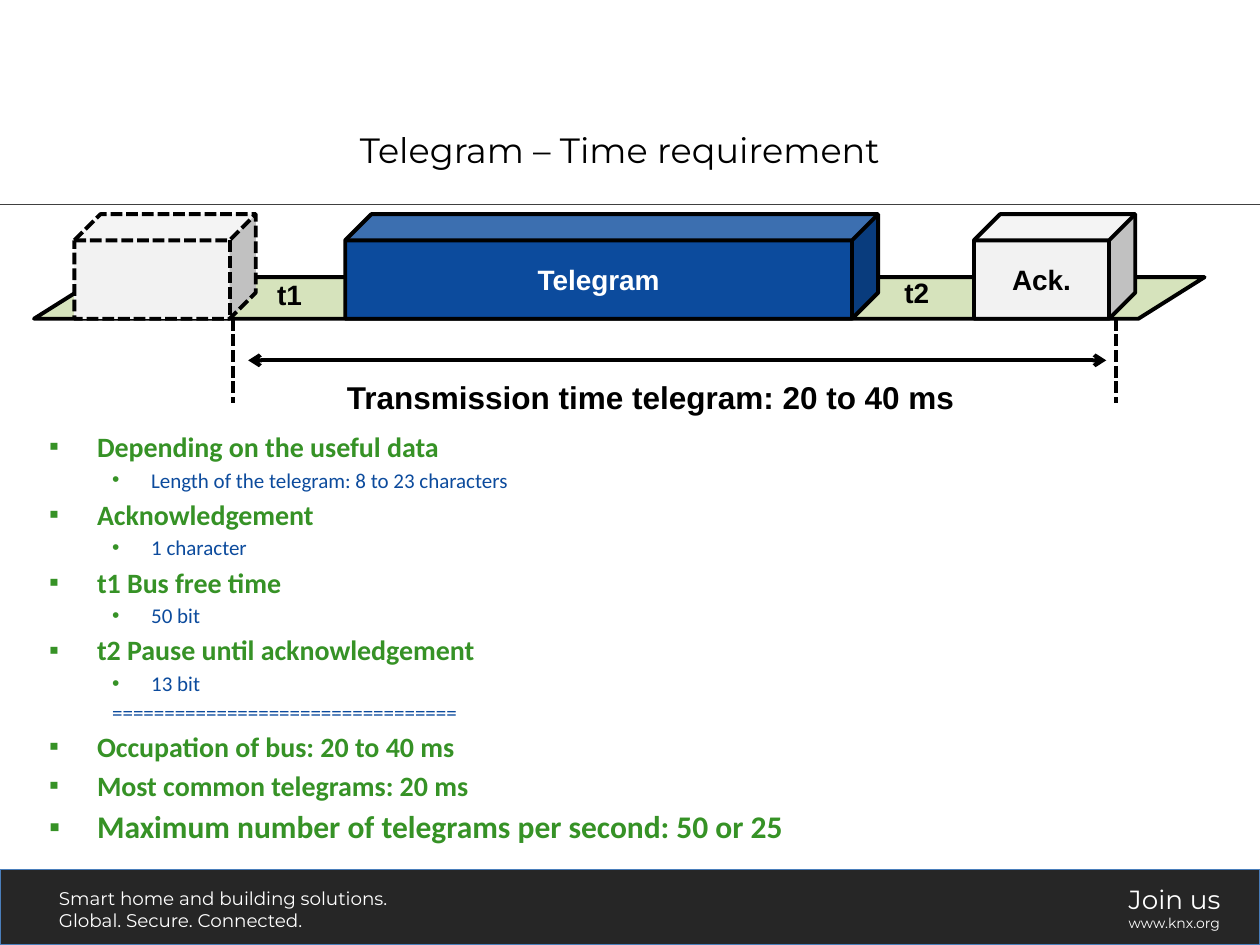
from dataclasses import dataclass

from lxml.etree import SubElement
from pptx import Presentation
from pptx.dml.color import RGBColor
from pptx.enum.dml import MSO_LINE
from pptx.enum.shapes import MSO_CONNECTOR, MSO_SHAPE
from pptx.enum.text import MSO_ANCHOR, MSO_AUTO_SIZE, PP_ALIGN
from pptx.oxml.ns import qn
from pptx.util import Inches, Pt


@dataclass(frozen=True)
class Theme:
    black: str = "000000"
    white: str = "FFFFFF"
    rule: str = "404040"
    footer: str = "262626"
    footer_edge: str = "4A7EBB"
    bus: str = "D6E3BC"
    pale: str = "F2F2F2"
    blue: str = "0C4B9D"
    green: str = "369226"
    brand_font: str = "Montserrat"
    diagram_font: str = "Arial"
    list_font: str = "Calibri"
    title_size: float = 20
    duration_size: float = 18
    label_size: float = 16
    topic_size: float = 16
    emphasis_size: float = 18
    detail_size: float = 12
    slogan_size: float = 10.5
    join_size: float = 15
    address_size: float = 8
    thin: float = 0.5
    edge: float = 0.75
    thick: float = 2.25


THEME = Theme()
TOPIC, DETAIL, SEPARATOR, EMPHASIS = range(4)
REQUIREMENTS = [
    (TOPIC, "Depending on the useful data"),
    (DETAIL, "Length of the telegram: 8 to 23 characters"),
    (TOPIC, "Acknowledgement"),
    (DETAIL, "1 character"),
    (TOPIC, "t1 Bus free time"),
    (DETAIL, "50 bit"),
    (TOPIC, "t2 Pause until acknowledgement"),
    (DETAIL, "13 bit"),
    (SEPARATOR, "=" * 33),
    (TOPIC, "Occupation of bus: 20 to 40 ms"),
    (TOPIC, "Most common telegrams: 20 ms"),
    (EMPHASIS, "Maximum number of telegrams per second: 50 or 25"),
]


def color(code):
    return RGBColor.from_string(code)


def place(part, left, top, width, height):
    part.left, part.top = Inches(left), Inches(top)
    part.width, part.height = Inches(width), Inches(height)


def add_run(paragraph, text, font, size, code, bold=False):
    run = paragraph.add_run()
    run.text = text
    run.font.name = font
    run.font.size = Pt(size)
    run.font.bold = bold
    run.font.color.rgb = color(code)


def add_block(shapes, preset, box, fill, line, weight, adjust=None):
    block = shapes.add_shape(preset, *map(Inches, box))
    block.shadow.inherit = False
    block.fill.solid()
    block.fill.fore_color.rgb = color(fill)
    block.line.color.rgb = color(line)
    block.line.width = Pt(weight)
    if adjust is not None:
        block.adjustments[0] = adjust
    return block


def add_line(shapes, start, end, code, weight, dashed=False, arrows=False):
    line = shapes.add_connector(MSO_CONNECTOR.STRAIGHT, *map(Inches, start + end))
    line.line.color.rgb = color(code)
    line.line.width = Pt(weight)
    if dashed:
        line.line.dash_style = MSO_LINE.SQUARE_DOT
    if arrows:
        for tip in ("a:headEnd", "a:tailEnd"):
            SubElement(line.line._get_or_add_ln(), qn(tip), type="arrow")
    SubElement(line._element.spPr, qn("a:effectLst"))


def add_text(shapes, box, lines, font, code, bold=False, wrap=True):
    frame = shapes.add_textbox(*map(Inches, box)).text_frame
    frame.word_wrap = wrap
    frame.auto_size = MSO_AUTO_SIZE.SHAPE_TO_FIT_TEXT
    for index, (text, size) in enumerate(lines):
        paragraph = frame.add_paragraph() if index else frame.paragraphs[0]
        add_run(paragraph, text, font, size, code, bold)
    return frame


def build_title(title, box):
    place(title, *box)
    frame = title.text_frame
    frame.vertical_anchor = MSO_ANCHOR.MIDDLE
    frame.paragraphs[0].alignment = PP_ALIGN.CENTER
    add_run(frame.paragraphs[0], "Telegram – Time requirement",
            THEME.brand_font, THEME.title_size, THEME.black)


def build_footer(shapes, box):
    left, top, width, height = box
    add_block(shapes, MSO_SHAPE.RECTANGLE, box, THEME.footer, THEME.footer_edge, THEME.edge)
    add_text(shapes, (left + 0.37, top + 0.09, 2.93, 0.45),
             [("Smart home and building solutions.", THEME.slogan_size),
              ("Global. Secure. Connected.", THEME.slogan_size)],
             THEME.brand_font, THEME.white)
    add_text(shapes, (left + width - 1.14, top + 0.06, 0.94, 0.51),
             [("Join us", THEME.join_size), ("www.knx.org", THEME.address_size)],
             THEME.brand_font, THEME.white)


def build_timeline(shapes, box):
    left, top, width, height = box
    base = top + 0.83
    duration = add_text(shapes, (left + 2.36, top + 1.25, 5.07, 0.4),
                        [("Transmission time telegram: 20 to 40 ms", THEME.duration_size)],
                        THEME.diagram_font, THEME.black, True, False)
    duration.vertical_anchor = MSO_ANCHOR.MIDDLE
    duration.paragraphs[0].alignment = PP_ALIGN.CENTER
    add_block(shapes, MSO_SHAPE.PARALLELOGRAM, (left, base - 0.33, width, 0.33),
              THEME.bus, THEME.black, THEME.thick, 1.591)

    for offset, length, fill, text, ink in [
        (0.32, 1.44, THEME.pale, "", THEME.black),
        (2.47, 4.23, THEME.blue, "Telegram", THEME.white),
        (7.46, 1.28, THEME.pale, "Ack.", THEME.black),
    ]:
        cube = add_block(shapes, MSO_SHAPE.CUBE, (left + offset, top, length, base - top),
                         fill, THEME.black, THEME.thick, 0.25)
        if not text:
            cube.line.dash_style = MSO_LINE.SQUARE_DOT
            continue
        frame = cube.text_frame
        frame.word_wrap = False
        frame.vertical_anchor = MSO_ANCHOR.MIDDLE
        frame.paragraphs[0].alignment = PP_ALIGN.CENTER
        add_run(frame.paragraphs[0], text, THEME.diagram_font, THEME.label_size, ink, True)

    for text, offset, drop in [("t1", 1.83, 0.45), ("t2", 6.81, 0.44)]:
        add_text(shapes, (left + offset, top + drop, 0.42, 0.37),
                 [(text, THEME.label_size)], THEME.diagram_font, THEME.black, True)
    for offset in (1.58, 8.59):
        add_line(shapes, (left + offset, base), (left + offset, top + height),
                 THEME.black, THEME.thick, dashed=True)
    add_line(shapes, (left + 1.7, base + 0.33), (left + 8.51, base + 0.33),
             THEME.black, THEME.thick, arrows=True)


def set_bullet(paragraph, margin, indent, mark):
    properties = paragraph._p.get_or_add_pPr()
    properties.set("marL", str(Inches(margin)))
    properties.set("indent", str(Inches(indent)))
    if not mark:
        SubElement(properties, qn("a:buNone"))
        return
    SubElement(SubElement(properties, qn("a:buClr")), qn("a:srgbClr"), val=THEME.green)
    SubElement(properties, qn("a:buFont"), typeface=THEME.diagram_font)
    SubElement(properties, qn("a:buChar"), char=mark)


def build_requirements(body, box):
    place(body, *box)
    frame = body.text_frame
    frame.auto_size = MSO_AUTO_SIZE.NONE
    styles = {
        TOPIC: (0, 0.38, -0.38, "▪", THEME.topic_size, THEME.green),
        DETAIL: (1, 0.81, -0.31, "•", THEME.detail_size, THEME.blue),
        SEPARATOR: (1, 0.5, 0, None, THEME.detail_size, THEME.blue),
        EMPHASIS: (0, 0.38, -0.38, "▪", THEME.emphasis_size, THEME.green),
    }
    for index, (kind, text) in enumerate(REQUIREMENTS):
        level, margin, indent, mark, size, ink = styles[kind]
        paragraph = frame.add_paragraph() if index else frame.paragraphs[0]
        paragraph.level = level
        set_bullet(paragraph, margin, indent, mark)
        paragraph.space_before = Pt(round(0.18 * size, 1) if index else 0)
        add_run(paragraph, text, THEME.list_font, size, ink, level == 0)


def main():
    deck = Presentation()
    deck.slide_width, deck.slide_height = Inches(10), Inches(7.5)
    slide = deck.slides.add_slide(deck.slide_layouts[1])
    build_footer(slide.shapes, (0, 6.9, 10, 0.6))
    add_line(slide.shapes, (0, 1.62), (10, 1.62), THEME.rule, THEME.thin)
    build_title(slide.shapes.title, (1.1, 0.91, 7.64, 0.55))
    build_timeline(slide.shapes.add_group_shape().shapes, (0.27, 1.7, 9.29, 1.5))
    build_requirements(slide.placeholders[1], (0.29, 3.36, 8.9, 3.54))
    deck.save("out.pptx")


if __name__ == "__main__":
    main()
